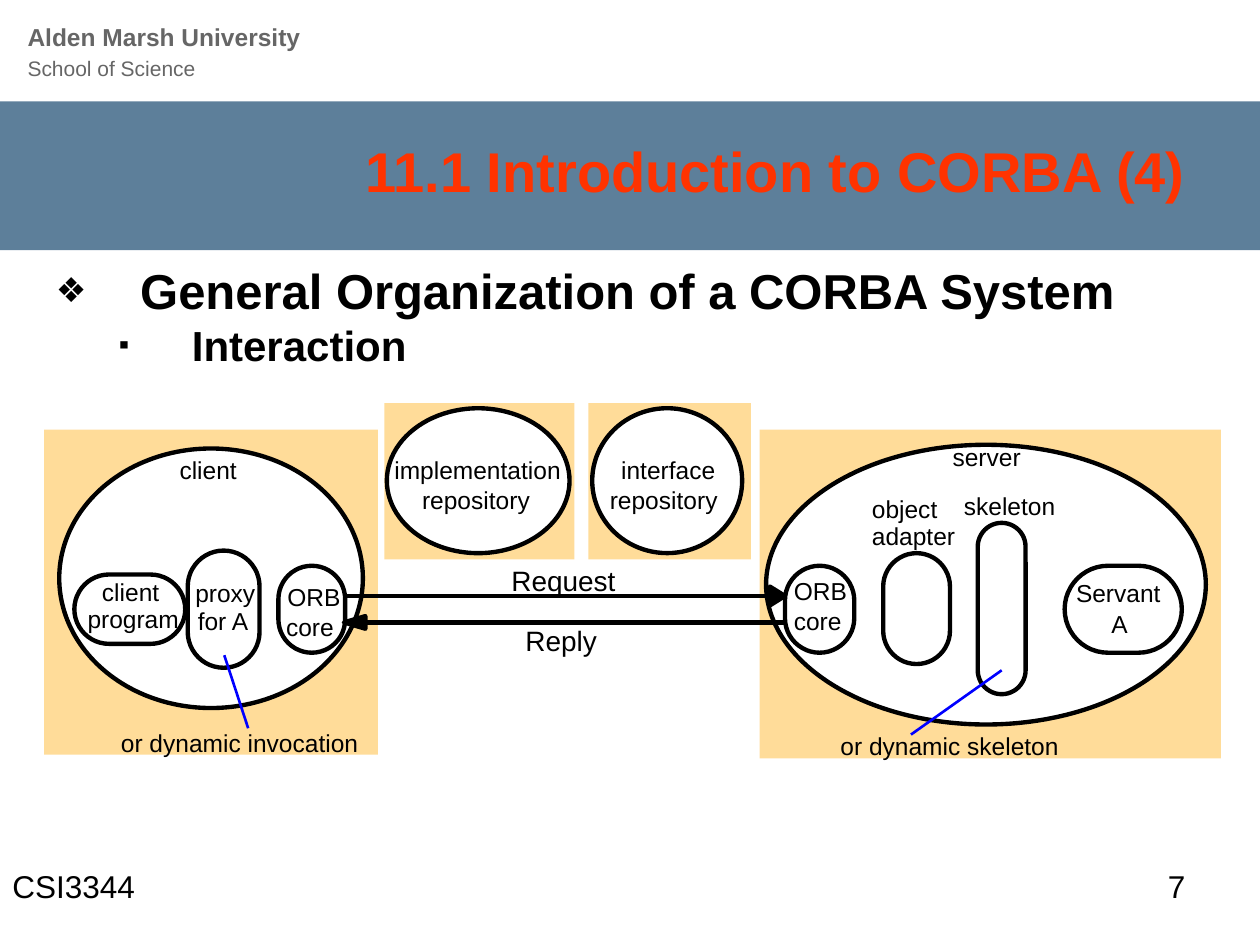
from lxml.etree import SubElement
from pptx import Presentation
from pptx.dml.color import RGBColor
from pptx.enum.shapes import MSO_CONNECTOR, MSO_SHAPE
from pptx.enum.text import MSO_ANCHOR, MSO_AUTO_SIZE, PP_ALIGN
from pptx.oxml.ns import qn
from pptx.util import Inches, Pt

THEME = {
    "font": "Arial",
    "band": "5D7F9A", "title": "FF3300", "grey": "666666",
    "ink": "000000", "paper": "FFFFFF", "sand": "FFDC99", "link": "0000FF",
    "label": 14, "flow": 16, "foot": 18, "thick": 2.5, "thin": 1.5,
}

deck = Presentation()
deck.slide_width, deck.slide_height = Inches(10), Inches(7.5)
slide = deck.slides.add_slide(deck.slide_layouts[6])
shapes = slide.shapes
CELL = deck.slide_width / 100  # the grid has 100 columns and 75 rows


def paint(shape, fill, line=None):
    """Give a shape a flat fill and, if named, a thick outline."""
    shape.shadow.inherit = False
    shape.fill.solid()
    shape.fill.fore_color.rgb = RGBColor.from_string(THEME[fill])
    if line:
        shape.line.color.rgb = RGBColor.from_string(THEME[line])
        shape.line.width = Pt(THEME["thick"])
    else:
        shape.line.fill.background()


def write(box, words, size, color="ink", bold=False, **frame):
    """Add a text box on the grid; frame holds text frame values."""
    text = shapes.add_textbox(*[int(CELL * n) for n in box]).text_frame
    for key, value in {"word_wrap": True, **frame}.items():
        setattr(text, key, value)
    text.text = words
    look = {"name": THEME["font"], "size": Pt(size), "bold": bold}
    for para in text.paragraphs:
        for run in para.runs:
            for key, value in look.items():
                setattr(run.font, key, value)
            run.font.color.rgb = RGBColor.from_string(THEME[color])
    return text


# Header band and heading text
band = shapes.add_shape(MSO_SHAPE.RECTANGLE, *[int(CELL * n) for n in (0, 8.05, 100.4, 11.8)])
paint(band, "band")

head = write((1.2, 1.3, 58.9, 5.7), "Alden Marsh University\vSchool of Science", 14, "grey", True)
para = head.paragraphs[0]
para.line_spacing, para.space_before = Pt(16.7), Pt(7.5)
para.runs[1].font.size, para.runs[1].font.bold = Pt(12), False

title = write((5.1, 9.95, 90, 7.1), "11.1 Introduction to CORBA (4)", 32, "title", True,
              vertical_anchor=MSO_ANCHOR.MIDDLE)
title.paragraphs[0].alignment = PP_ALIGN.RIGHT

# Bullets
body = write((3.45, 20.2, 93.3, 48), "General Organization of a CORBA System\nInteraction",
             28, bold=True)
body.paragraphs[1].level = 1
body.paragraphs[1].runs[0].font.size = Pt(24)
for para, mark, left, hang in zip(body.paragraphs, "❖▪", (6.7, 10.8), (6.7, 5.8)):
    props = para._p.get_or_add_pPr()
    props.set("marL", str(int(CELL * left)))
    props.set("indent", str(-int(CELL * hang)))
    tint = SubElement(props, qn("a:buClr"))
    SubElement(tint, qn("a:srgbClr"), val=THEME["ink"])
    SubElement(props, qn("a:buSzPct"), val="70000")
    SubElement(props, qn("a:buFont"), typeface=THEME["font"])
    SubElement(props, qn("a:buChar"), char=mark)

# Footer
write((0, 68.3, 23.3, 5), "CSI3344", THEME["foot"])
write((91.7, 68.3, 8.3, 5), "7", THEME["foot"])

# Panels, ovals and rounded parts, back to front
PANELS = [(30.5, 32, 15.1, 12.4), (46.7, 32, 12.9, 12.4),
          (3.5, 34.1, 26.5, 25.8), (60.3, 34.1, 36.6, 26.1)]
OVALS = [(30.7, 32.4, 14.5, 11.5), (47, 32.4, 11.9, 11.5),
         (4.7, 35.6, 24.1, 20.6), (60.8, 35.3, 34.9, 22.2)]
PILLS = [(22.1, 44.9, 5.3, 6.9), (62.3, 44.9, 5.5, 6.9), (14.9, 43.7, 5.7, 9.3),
         (70.1, 43.9, 5.3, 8.8), (77.6, 41.5, 3.8, 13.6), (5.9, 45.6, 8.8, 5.5),
         (84.5, 44.9, 9.3, 6.9)]
for kind, boxes, fill, line in [
    (MSO_SHAPE.RECTANGLE, PANELS, "sand", None),
    (MSO_SHAPE.OVAL, OVALS, "paper", "ink"),
    (MSO_SHAPE.ROUNDED_RECTANGLE, PILLS, "paper", "ink"),
]:
    for box in boxes:
        part = shapes.add_shape(kind, *[int(CELL * n) for n in box])
        paint(part, fill, line)
        if kind == MSO_SHAPE.ROUNDED_RECTANGLE:
            part.adjustments[0] = 0.5

# Request and reply flows, then the pointers to the notes
for ends, color, width in [
    ((27.2, 47.3, 61.1, 47.3), "ink", "thick"),
    ((62.3, 49.4, 28.8, 49.4), "ink", "thick"),
    ((19.7, 57.8, 17.8, 52), "link", "thin"),
    ((79.5, 53.2, 72.3, 58.3), "link", "thin"),
]:
    wire = shapes.add_connector(MSO_CONNECTOR.STRAIGHT, *[int(CELL * n) for n in ends])
    wire.line.color.rgb = RGBColor.from_string(THEME[color])
    wire.line.width = Pt(THEME[width])
    SubElement(wire._element.spPr, qn("a:effectLst"))

for tip, base, row, half in [(62.3, 61.1, 47.3, 0.75), (27.3, 29, 49.4, 0.5)]:
    spots = [(base, row), (base, row - half), (tip, row), (base, row + half)]
    start, *rest = [(int(CELL * x), int(CELL * y)) for x, y in spots]
    path = shapes.build_freeform(*start)
    path.add_line_segments(rest, close=True)
    paint(path.convert_to_shape(), "ink", "ink")

# Labels: left, top, width, words
LABELS = {
    "label": [
        (14.25, 36.1, 5, "client"), (75.6, 35.1, 6.2, "server"),
        (31.3, 36.1, 13.6, "implementation"), (33.5, 38.5, 9, "repository"),
        (49.3, 36.1, 7.9, "interface"), (48.4, 38.5, 9, "repository"),
        (8.1, 45.8, 5, "client"), (6.95, 47.9, 7.7, "program"),
        (15.5, 45.9, 5.2, "proxy"), (15.7, 48.1, 4.6, "for A"),
        (22.8, 46.2, 4.8, "ORB"), (22.7, 48.6, 4.2, "core"),
        (63, 45.7, 4.8, "ORB"), (63, 48.1, 4.2, "core"),
        (69.2, 39.2, 5.6, "object"), (69.2, 41.35, 7.2, "adapter"),
        (76.5, 39, 7.7, "skeleton"), (85.4, 45.9, 7.4, "Servant"),
        (88.2, 48.3, 1.8, "A"), (9.6, 57.8, 19.3, "or dynamic invocation"),
        (66.7, 58, 17.8, "or dynamic skeleton"),
    ],
    "flow": [(40.6, 44.7, 8.7, "Request"), (41.7, 49.5, 6.1, "Reply")],
}
TIGHT = {"margin_left": 0, "margin_right": 0, "margin_top": 0, "margin_bottom": 0,
         "word_wrap": False, "auto_size": MSO_AUTO_SIZE.SHAPE_TO_FIT_TEXT}
for role, labels in LABELS.items():
    size = THEME[role]
    for left, top, width, words in labels:
        write((left, top, width, size / 6), words, size, **TIGHT)

deck.save("out.pptx")
